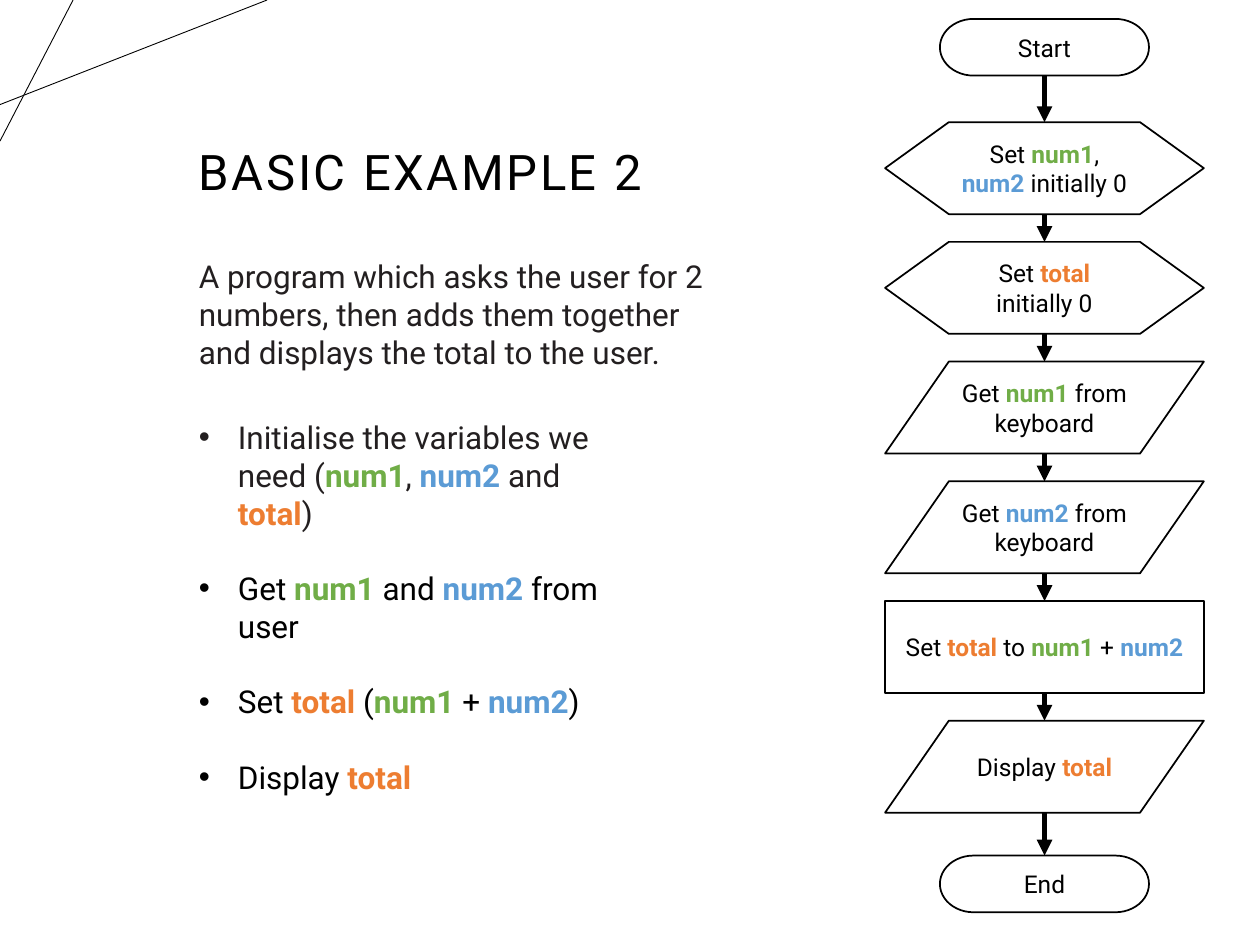
from dataclasses import dataclass
from itertools import pairwise

from lxml import etree
from pptx import Presentation
from pptx.dml.color import RGBColor
from pptx.enum.shapes import MSO_CONNECTOR, MSO_SHAPE
from pptx.enum.text import MSO_ANCHOR, PP_ALIGN
from pptx.oxml.ns import qn
from pptx.util import Inches, Pt

STRAIGHT = MSO_CONNECTOR.STRAIGHT
TERMINATOR = MSO_SHAPE.FLOWCHART_TERMINATOR
PREPARATION = MSO_SHAPE.FLOWCHART_PREPARATION
INPUT_OUTPUT = MSO_SHAPE.FLOWCHART_DATA
PROCESS = MSO_SHAPE.FLOWCHART_PROCESS
LEFT, CENTER = PP_ALIGN.LEFT, PP_ALIGN.CENTER
TOP, MIDDLE = MSO_ANCHOR.TOP, MSO_ANCHOR.MIDDLE
TOP_SITE, BOTTOM_SITE = 0, 2


@dataclass(frozen=True)
class Theme:
    font: str = "Roboto"
    black: RGBColor = RGBColor(0, 0, 0)
    charcoal: RGBColor = RGBColor(0x23, 0x1F, 0x20)
    green: RGBColor = RGBColor(0x70, 0xAD, 0x47)
    blue: RGBColor = RGBColor(0x5B, 0x9B, 0xD5)
    orange: RGBColor = RGBColor(0xED, 0x7D, 0x31)
    title_size: float = 28
    body_size: float = 18
    step_size: float = 14


THEME = Theme()
VARIABLE_COLOURS = {"num1": THEME.green, "num2": THEME.blue, "total": THEME.orange}


@dataclass(frozen=True)
class Step:
    kind: MSO_SHAPE
    text: str
    top: float
    width: float = 2.53
    height: float = 0.73

    @property
    def bottom(self) -> float:
        return self.top + self.height


FLOW_CENTER = 8.29
FIRST_STEP_TOP, STEP_PITCH = 0.97, 0.95
ACTIONS = [
    (PREPARATION, "Set *num1*, *num2* initially 0"),
    (PREPARATION, "Set *total* initially 0"),
    (INPUT_OUTPUT, "Get *num1* from keyboard"),
    (INPUT_OUTPUT, "Get *num2* from keyboard"),
    (PROCESS, "Set *total* to *num1* + *num2*"),
    (INPUT_OUTPUT, "Display *total*"),
]
STEPS = [
    Step(TERMINATOR, "Start", 0.15, 1.66, 0.45),
    *(Step(kind, text, FIRST_STEP_TOP + i * STEP_PITCH)
      for i, (kind, text) in enumerate(ACTIONS)),
    Step(TERMINATOR, "End", 6.79, 1.66, 0.45),
]
PLAN = [
    ("Initialise the variables we need (*num1*, *num2* and *total*)", THEME.charcoal),
    ("Get *num1* and *num2* from user", THEME.black),
    ("Set *total* (*num1* + *num2*)", THEME.black),
    ("Display *total*", THEME.black),
]
CORNER_LINES = [(0, 0.83, 2.12, 0), (0.58, 0, 0, 1.12)]


def write(paragraph, text: str, *, size: float, colour=THEME.black, align=LEFT,
          spacing: float = 0, line_spacing=None) -> None:
    """Write text, with each *variable* bold and in its own colour."""
    paragraph.alignment = align
    paragraph.line_spacing = line_spacing
    for i, part in enumerate(text.split("*")):
        if not part:
            continue
        is_variable = i % 2 == 1
        run = paragraph.add_run()
        run.text = part
        run.font.name = THEME.font
        run.font.size = Pt(size)
        run.font.bold = is_variable
        run.font.color.rgb = VARIABLE_COLOURS[part] if is_variable else colour
        if spacing:
            run.font._element.set("spc", str(round(spacing * 100)))


def add_text_frame(slide, left: float, top: float, width: float, height: float,
                   anchor=TOP):
    box = slide.shapes.add_textbox(
        Inches(left), Inches(top), Inches(width), Inches(height))
    box.text_frame.word_wrap = True
    box.text_frame.vertical_anchor = anchor
    return box.text_frame


def add_bullet(paragraph, indent: float) -> None:
    properties = paragraph._p.get_or_add_pPr()
    properties.set("marL", str(Inches(indent)))
    properties.set("indent", str(-Inches(indent)))
    etree.SubElement(properties, qn("a:buFont"), typeface="Arial")
    etree.SubElement(properties, qn("a:buChar"), char="•")


def add_plan(slide) -> None:
    frame = add_text_frame(slide, 1.48, 3.27, 3.71, 3.13)
    for i, (text, colour) in enumerate(PLAN):
        paragraph = frame.add_paragraph() if i else frame.paragraphs[0]
        add_bullet(paragraph, 0.31)
        if i:
            paragraph.space_before = Pt(21.5)
        write(paragraph, text, size=THEME.body_size, colour=colour)


def add_line(slide, x1: float, y1: float, x2: float, y2: float, weight: float):
    line = slide.shapes.add_connector(
        STRAIGHT, Inches(x1), Inches(y1), Inches(x2), Inches(y2))
    line.line.color.rgb = THEME.black
    line.line.width = Pt(weight)
    etree.SubElement(line._element.spPr, qn("a:effectLst"))
    return line


def add_step(slide, step: Step):
    shape = slide.shapes.add_shape(
        step.kind, Inches(FLOW_CENTER - step.width / 2), Inches(step.top),
        Inches(step.width), Inches(step.height))
    shape.shadow.inherit = False
    shape.fill.background()
    shape.line.color.rgb = THEME.black
    shape.line.width = Pt(1)
    shape.text_frame.word_wrap = True
    shape.text_frame.vertical_anchor = MIDDLE
    write(shape.text_frame.paragraphs[0], step.text, size=THEME.step_size, align=CENTER)
    return shape


def add_flowchart(slide) -> None:
    """Draw the steps and arrows; slanted shapes have no site at mid-side to join."""
    drawn = [(step, add_step(slide, step)) for step in STEPS]
    for (upper, upper_shape), (lower, lower_shape) in pairwise(drawn):
        arrow = add_line(slide, FLOW_CENTER, upper.bottom, FLOW_CENTER, lower.top, 3)
        etree.SubElement(arrow.line._get_or_add_ln(), qn("a:tailEnd"), type="triangle")
        if upper.kind != INPUT_OUTPUT:
            arrow.begin_connect(upper_shape, BOTTOM_SITE)
        if lower.kind != INPUT_OUTPUT:
            arrow.end_connect(lower_shape, TOP_SITE)


def main() -> None:
    deck = Presentation()
    deck.slide_width, deck.slide_height = Inches(10), Inches(7.5)
    slide = deck.slides.add_slide(deck.slide_layouts[6])

    for ends in CORNER_LINES:
        add_line(slide, *ends, weight=0.5)
    title = add_text_frame(slide, 1.48, 0.66, 5.35, 1.45, anchor=MIDDLE)
    write(title.paragraphs[0], "BASIC EXAMPLE 2", size=THEME.title_size,
          spacing=1.5, line_spacing=0.9)
    summary = add_text_frame(slide, 1.48, 1.99, 4.48, 1.01)
    write(summary.paragraphs[0],
          "A program which asks the user for 2 numbers, then adds them together "
          "and displays the total to the user.",
          size=THEME.body_size, colour=THEME.charcoal)
    add_plan(slide)
    add_flowchart(slide)
    deck.save("out.pptx")


if __name__ == "__main__":
    main()
